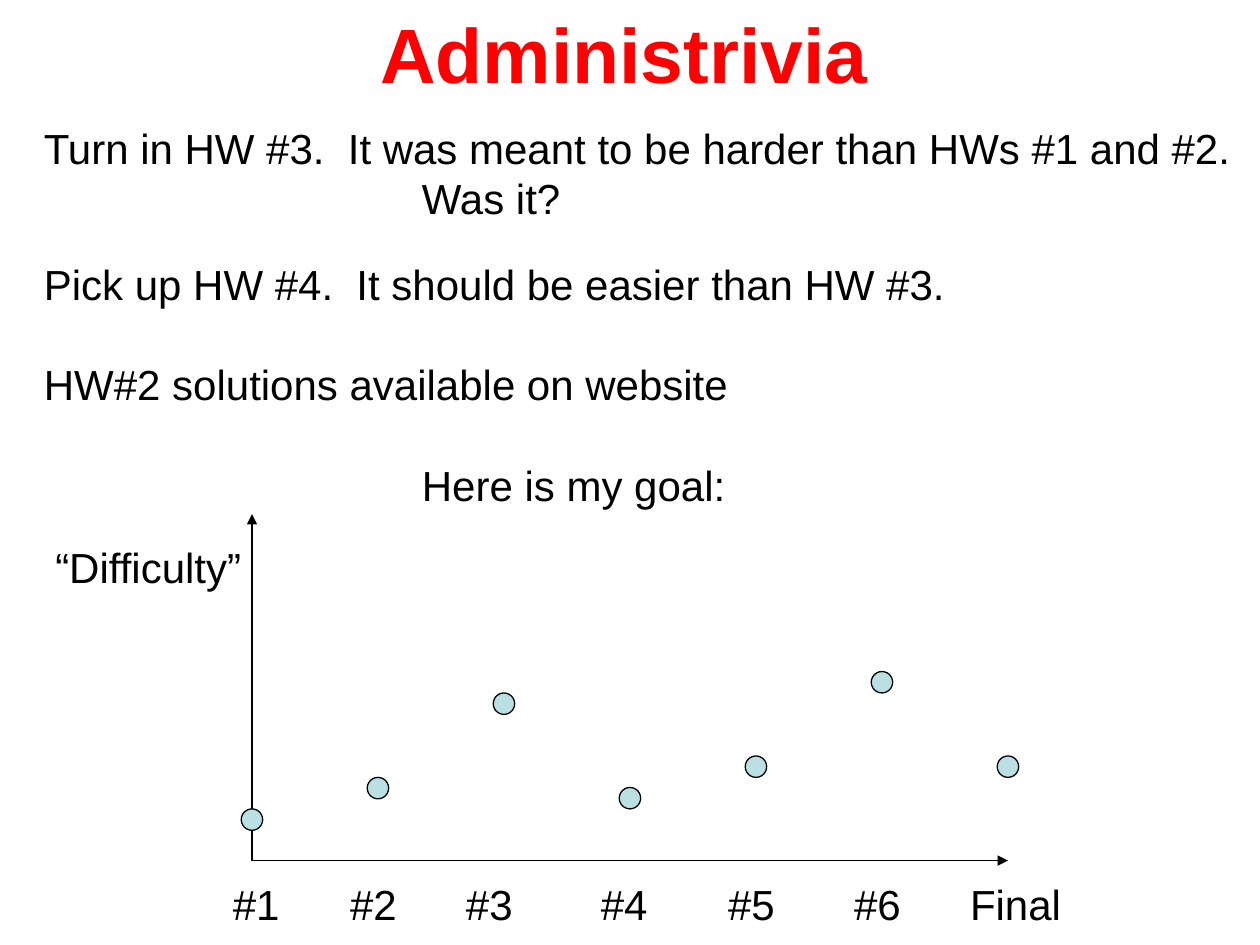
import pptx
import pptx.util
import pptx.dml.color
import pptx.enum.shapes
import pptx.enum.text
import pptx.oxml
import pptx.oxml.ns
from pptx.util import Inches

deck = pptx.Presentation()
deck.slide_width, deck.slide_height = Inches(10), Inches(7.5)
slide = deck.slides.add_slide(deck.slide_layouts[6])


def rgb(value):
    return pptx.dml.color.RGBColor.from_string(value)


def add_text(text, left, top, width, height=0.5, size=24, color="000000", bold=False, gap=0):
    box = slide.shapes.add_textbox(Inches(left), Inches(top), Inches(width), Inches(height))
    frame = box.text_frame
    frame.word_wrap = False
    frame.auto_size = pptx.enum.text.MSO_AUTO_SIZE.SHAPE_TO_FIT_TEXT
    for index, line in enumerate(text.split("\n")):
        paragraph = frame.paragraphs[0] if index == 0 else frame.add_paragraph()
        paragraph.line_spacing = pptx.util.Pt(size * 1.2)
        if index:
            paragraph.space_before = pptx.util.Pt(gap)
        if line.startswith("\t"):
            tabs = pptx.oxml.parse_xml(
                f'<a:tabLst {pptx.oxml.ns.nsdecls("a")}><a:tab pos="{Inches(3)}" algn="l"/></a:tabLst>'
            )
            paragraph._p.get_or_add_pPr().append(tabs)
        run = paragraph.add_run()
        run.text = line
        run.font.name = "Arial"
        run.font.size = pptx.util.Pt(size)
        run.font.bold = bold
        run.font.color.rgb = rgb(color)


add_text("Administrivia", 2.92, 0, 4.1, 0.84, size=44, color="FF0000", bold=True)
add_text("Turn in HW #3.  It was meant to be harder than HWs #1 and #2.\n\tWas it?", 0.25, 0.92, 9.63, 0.9)
add_text(
    "Pick up HW #4.  It should be easier than HW #3.\n"
    "HW#2 solutions available on website\n"
    "\tHere is my goal:",
    0.25, 2, 7.35, 2.1, gap=28.8,
)

origin_x, origin_y = 2, 6.83
for end_x, end_y in [(origin_x, 4.08), (8, origin_y)]:
    axis = slide.shapes.add_connector(
        pptx.enum.shapes.MSO_CONNECTOR.STRAIGHT,
        Inches(origin_x), Inches(origin_y), Inches(end_x), Inches(end_y),
    )
    axis.line.color.rgb = rgb("000000")
    axis.line.width = pptx.util.Pt(0.75)
    axis.line._get_or_add_ln().append(
        pptx.oxml.parse_xml(f'<a:tailEnd {pptx.oxml.ns.nsdecls("a")} type="triangle"/>')
    )
    axis._element.spPr.append(pptx.oxml.parse_xml(f'<a:effectLst {pptx.oxml.ns.nsdecls("a")}/>'))

assignments = [
    ("#1", 1.75, 6.42),
    ("#2", 2.68, 6.17),
    ("#3", 3.6, 5.5),
    ("#4", 4.67, 6.25),
    ("#5", 5.68, 6),
    ("#6", 6.68, 5.33),
    ("Final", 7.6, 6),
]
for label, label_left, _ in assignments:
    add_text(label, label_left, 6.92, 0.92 if label == "Final" else 0.57)

dot_size = 0.17
for index, (_, _, dot_top) in enumerate(assignments):
    dot = slide.shapes.add_shape(
        pptx.enum.shapes.MSO_SHAPE.OVAL,
        Inches(origin_x + index - dot_size / 2), Inches(dot_top), Inches(dot_size), Inches(dot_size),
    )
    dot.shadow.inherit = False
    dot.fill.solid()
    dot.fill.fore_color.rgb = rgb("BBE0E3")
    dot.line.color.rgb = rgb("000000")
    dot.line.width = pptx.util.Pt(0.75)

add_text("“Difficulty”", 0.34, 4.25, 1.68)

deck.save("out.pptx")
